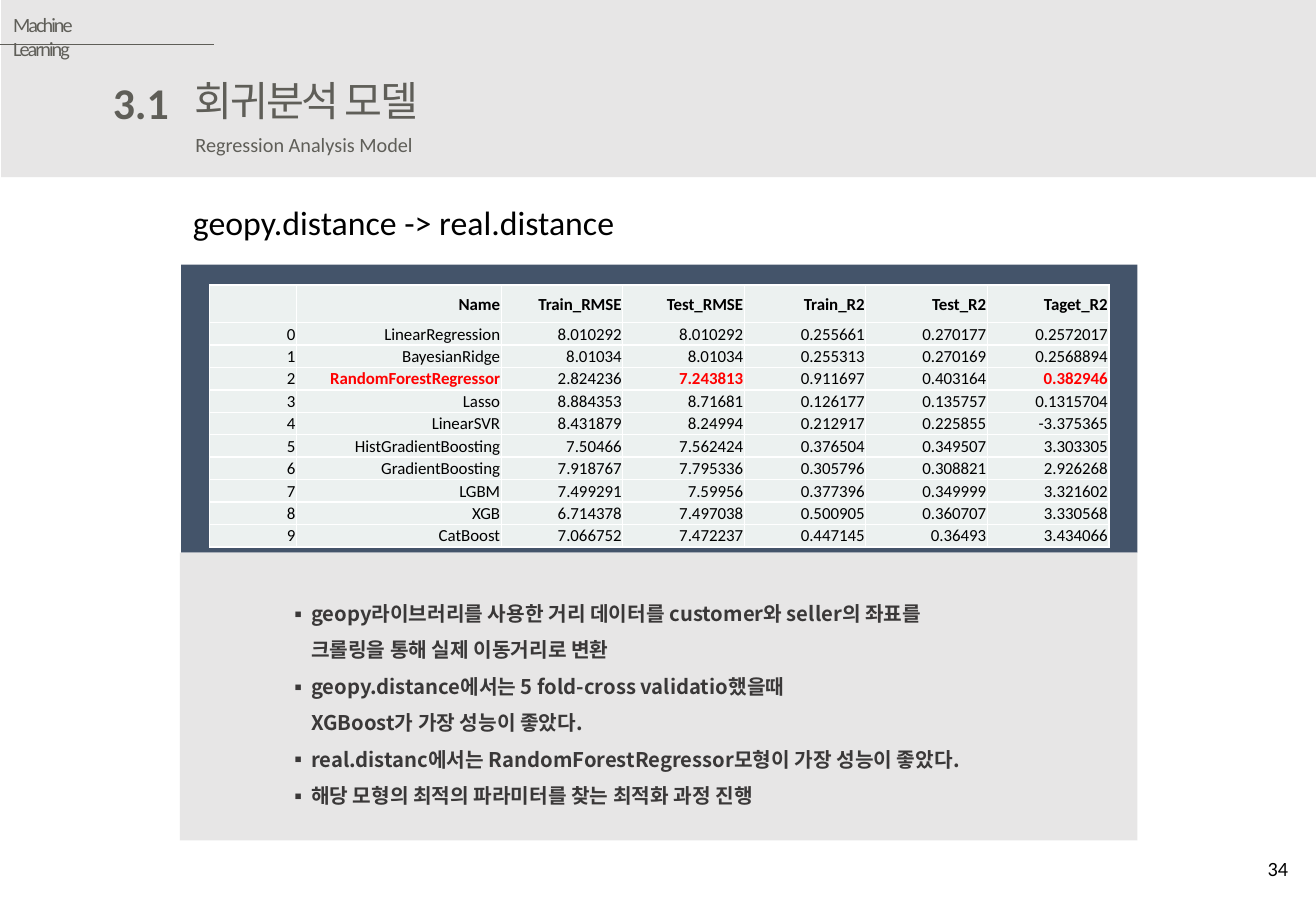
from dataclasses import dataclass

from lxml import etree
from pptx import Presentation
from pptx.dml.color import RGBColor
from pptx.enum.shapes import MSO_CONNECTOR, MSO_SHAPE
from pptx.enum.text import MSO_ANCHOR, MSO_AUTO_SIZE, PP_ALIGN
from pptx.oxml.ns import qn
from pptx.util import Pt

PX = 4572  # 200 px to the inch
LEFT, RIGHT = PP_ALIGN.LEFT, PP_ALIGN.RIGHT
TOP, MIDDLE = MSO_ANCHOR.TOP, MSO_ANCHOR.MIDDLE
RECT, STRAIGHT = MSO_SHAPE.RECTANGLE, MSO_CONNECTOR.STRAIGHT
NO_FIT = MSO_AUTO_SIZE.NONE


@dataclass(frozen=True)
class Theme:
    font: str = "Calibri"
    title_font: str = "Arial"
    korean_font: str = "Noto Sans CJK KR"
    band: str = "E7E6E6"
    grey: str = "5F5E58"
    navy: str = "44546A"
    cell: str = "ECF1F0"
    white: str = "FFFFFF"
    black: str = "000000"
    red: str = "FF0000"
    note: str = "3A3838"
    number_size: float = 26
    title_size: float = 24.4
    heading_size: float = 20
    body_size: float = 12
    table_size: float = 10


T = Theme()

COLUMNS = [143, 337, 200, 200, 200, 200, 200]
ROW_HEIGHT = 37
HEADER = ["", "Name", "Train_RMSE", "Test_RMSE", "Train_R2", "Test_R2", "Taget_R2"]
MODELS = [
    ["LinearRegression", "8.010292", "8.010292", "0.255661", "0.270177", "0.2572017"],
    ["BayesianRidge", "8.01034", "8.01034", "0.255313", "0.270169", "0.2568894"],
    ["RandomForestRegressor", "2.824236", "7.243813", "0.911697", "0.403164", "0.382946"],
    ["Lasso", "8.884353", "8.71681", "0.126177", "0.135757", "0.1315704"],
    ["LinearSVR", "8.431879", "8.24994", "0.212917", "0.225855", "-3.375365"],
    ["HistGradientBoosting", "7.50466", "7.562424", "0.376504", "0.349507", "3.303305"],
    ["GradientBoosting", "7.918767", "7.795336", "0.305796", "0.308821", "2.926268"],
    ["LGBM", "7.499291", "7.59956", "0.377396", "0.349999", "3.321602"],
    ["XGB", "6.714378", "7.497038", "0.500905", "0.360707", "3.330568"],
    ["CatBoost", "7.066752", "7.472237", "0.447145", "0.36493", "3.434066"],
]
HIGHLIGHTS = {(3, 1), (3, 3), (3, 6)}  # row, column
NOTES = [
    "geopy라이브러리를 사용한 거리 데이터를 customer와 seller의 좌표를\v크롤링을 통해 실제 이동거리로 변환",
    "geopy.distance에서는 5 fold-cross validatio했을때\vXGBoost가 가장 성능이 좋았다.",
    "real.distanc에서는 RandomForestRegressor모형이 가장 성능이 좋았다.",
    "해당 모형의 최적의 파라미터를 찾는 최적화 과정 진행",
]


def rgb(color):
    return RGBColor.from_string(color)


def emu(*lengths):
    return [length * PX for length in lengths]


def write(p, text, size=T.body_size, font=T.font, color=T.black, bold=False,
          align=LEFT, spacing=0):
    """Put formatted text into a paragraph."""
    p.alignment = align
    for i, line in enumerate(text.split("\v")):
        if i:
            p.add_line_break()
        r = p.add_run()
        r.text = line
        r.font.size, r.font.name, r.font.bold = Pt(size), font, bold
        r.font.color.rgb = rgb(color)
        rPr = r.font._element
        if spacing:
            rPr.set("spc", str(spacing))
        etree.SubElement(rPr, qn("a:ea")).set("typeface", T.korean_font)
    if not text:
        etree.SubElement(p._p, qn("a:endParaRPr")).set("sz", str(int(size * 100)))


def add_text(slide, box, text, anchor=TOP, wrap=False, **fmt):
    sp = slide.shapes.add_textbox(*emu(*box))
    tf = sp.text_frame
    tf.word_wrap, tf.vertical_anchor = wrap, anchor
    write(tf.paragraphs[0], text, **fmt)


def add_rect(slide, box, color):
    sp = slide.shapes.add_shape(RECT, *emu(*box))
    sp.shadow.inherit = False
    sp.fill.solid()
    sp.fill.fore_color.rgb = rgb(color)
    sp.line.fill.background()


def place(sp, box, wrap):
    """Move a placeholder into the box, in front of the parts drawn so far."""
    sp.left, sp.top, sp.width, sp.height = emu(*box)
    sp.element.getparent().append(sp.element)
    tf = sp.text_frame
    tf.auto_size, tf.word_wrap, tf.vertical_anchor = NO_FIT, wrap, TOP
    return tf


def add_header(slide, box):
    x, y, w, h = box
    add_rect(slide, box, T.band)
    # Running head with its rule
    rule = slide.shapes.add_connector(STRAIGHT, *emu(x - 2, y + 73, x + 350, y + 73))
    rule.line.color.rgb, rule.line.width = rgb(T.grey), Pt(0.5)
    etree.SubElement(rule.element.spPr, qn("a:effectLst"))
    add_text(slide, (x, y + 10, 150, 60), "Machine Learning", wrap=True,
             color=T.grey, spacing=-120)
    # Section number, title and subtitle
    add_text(slide, (x + 162, y + 114, 134, 108), "3.1", size=T.number_size,
             color=T.grey, bold=True, align=RIGHT)
    tf = place(slide.shapes.title, (x + 298, y + 114, 450, 102), wrap=False)
    write(tf.paragraphs[0], "회귀분석 모델", size=T.title_size, font=T.title_font,
          color=T.grey, spacing=-120)
    add_text(slide, (x + 300, y + 208, 402, 60), "Regression Analysis Model", color=T.grey)


def format_cell(cell, text, **fmt):
    cell.margin_left = cell.margin_right = cell.margin_top = 2 * PX
    cell.margin_bottom = 0
    cell.vertical_anchor = MIDDLE
    write(cell.text_frame.paragraphs[0], text, size=T.table_size, align=RIGHT, **fmt)
    tcPr = cell._tc.get_or_add_tcPr()
    for side in ("a:lnL", "a:lnR", "a:lnT", "a:lnB"):
        ln = etree.SubElement(tcPr, qn(side), w=str(Pt(1)))
        fill = etree.SubElement(ln, qn("a:solidFill"))
        etree.SubElement(fill, qn("a:srgbClr"), val=T.white)
    cell.fill.solid()
    cell.fill.fore_color.rgb = rgb(T.cell)


def add_results(slide, box):
    x, y, w, h = box
    add_rect(slide, box, T.navy)
    rows = [HEADER] + [[str(i), *model] for i, model in enumerate(MODELS)]
    width, height = sum(COLUMNS), ROW_HEIGHT * len(rows)
    table = slide.shapes.add_table(len(rows), len(COLUMNS), *emu(
        x + (w - width) // 2, y + (h - height) // 2, width, height)).table
    for column, column_width in zip(table.columns, COLUMNS):
        column.width = column_width * PX
    for i, row in enumerate(rows):
        table.rows[i].height = ROW_HEIGHT * PX
        for j, text in enumerate(row):
            best = (i, j) in HIGHLIGHTS
            format_cell(table.cell(i, j), text, bold=best or i == 0,
                        color=T.red if best else T.black)


def add_notes_panel(slide, box):
    x, y, w, h = box
    add_rect(slide, box, T.band)
    tf = place(slide.placeholders[1], (x + 158, y + 50, 1262, 424), wrap=True)
    for i, note in enumerate(NOTES):
        p = tf.add_paragraph() if i else tf.paragraphs[0]
        pPr = p._p.get_or_add_pPr()
        pPr.set("marL", str(38 * PX))
        pPr.set("indent", str(-38 * PX))
        p.line_spacing, p.space_before = 1.5, Pt(0)
        etree.SubElement(pPr, qn("a:buFont"), typeface=T.korean_font)
        etree.SubElement(pPr, qn("a:buChar"), char="▪")
        write(p, note, font=T.korean_font, color=T.note, bold=True)


def main():
    prs = Presentation()
    prs.slide_width, prs.slide_height = emu(2166, 1500)
    slide = prs.slides.add_slide(prs.slide_layouts[1])
    add_header(slide, (2, 0, 2164, 292))
    add_text(slide, (298, 322, 740, 88), "geopy.distance -> real.distance",
             size=T.heading_size)
    add_results(slide, (298, 436, 1574, 474))
    add_notes_panel(slide, (296, 910, 1576, 474))
    # Page number
    add_text(slide, (1652, 1390, 488, 80), "34", anchor=MIDDLE, wrap=True, align=RIGHT)
    prs.save("out.pptx")


if __name__ == "__main__":
    main()
